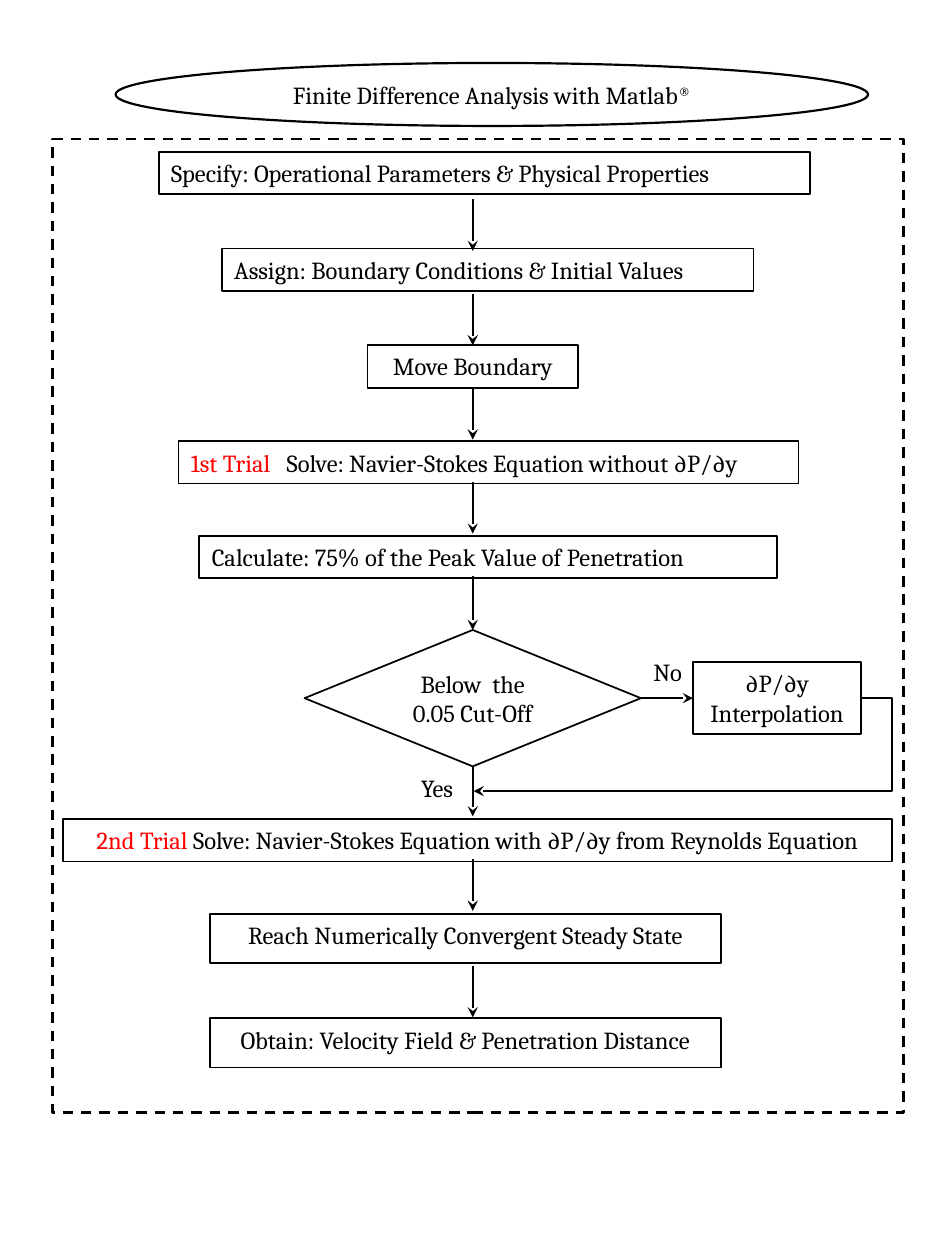
from dataclasses import dataclass

from lxml import etree
from pptx import Presentation
from pptx import util as u
from pptx.dml import color
from pptx.enum import dml, shapes, text
from pptx.oxml import ns


@dataclass(frozen=True)
class Theme:
    ink: color.RGBColor = color.RGBColor(0, 0, 0)
    accent: color.RGBColor = color.RGBColor(255, 0, 0)
    font: str = "Cambria"
    size: u.Pt = u.Pt(14)
    line: u.Pt = u.Pt(1)
    oval_line: u.Pt = u.Pt(1.25)
    frame_line: u.Pt = u.Pt(1.5)


class FlowChart:
    def __init__(self, slide, theme):
        self.slide = slide
        self.theme = theme

    def fill_text(self, holder, parts, align, anchor, grow):
        frame = holder.text_frame
        frame.word_wrap = True
        frame.vertical_anchor = anchor
        if grow:
            frame.auto_size = text.MSO_AUTO_SIZE.SHAPE_TO_FIT_TEXT
        paragraph = frame.paragraphs[0]
        paragraph.alignment = align
        for words, tint in parts:
            run = paragraph.add_run()
            run.text = words
            run.font.name = self.theme.font
            run.font.size = self.theme.size
            run.font.color.rgb = tint

    def node(self, kind, box, parts=(), align=text.PP_ALIGN.CENTER,
             anchor=text.MSO_ANCHOR.TOP, grow=True, width=None):
        node = self.slide.shapes.add_shape(kind, *map(u.Cm, box))
        node.shadow.inherit = False
        node.fill.background()
        node.line.color.rgb = self.theme.ink
        node.line.width = width or self.theme.line
        if parts:
            self.fill_text(node, parts, align, anchor, grow)
        return node

    def step(self, box, *parts, **layout):
        return self.node(shapes.MSO_SHAPE.RECTANGLE, box, parts, **layout)

    def label(self, box, words):
        holder = self.slide.shapes.add_textbox(*map(u.Cm, box))
        self.fill_text(holder, [(words, self.theme.ink)], text.PP_ALIGN.CENTER,
                       text.MSO_ANCHOR.TOP, True)

    def arrow(self, start, end, source=None, target=None,
              kind=shapes.MSO_CONNECTOR.STRAIGHT):
        arrow = self.slide.shapes.add_connector(kind, *map(u.Cm, start + end))
        if source:
            arrow.begin_connect(*source)
        if target:
            arrow.end_connect(*target)
        arrow.line.color.rgb = self.theme.ink
        arrow.line.width = self.theme.line
        properties = arrow._element.spPr
        outline = properties.find(ns.qn("a:ln"))
        etree.SubElement(outline, ns.qn("a:tailEnd"), type="stealth")
        etree.SubElement(properties, ns.qn("a:effectLst"))
        return arrow

    def elbow(self, start, end, bend):
        elbow = self.arrow(start, end, kind=shapes.MSO_CONNECTOR.ELBOW)
        geometry = elbow._element.spPr.find(ns.qn("a:prstGeom"))
        guides = geometry.find(ns.qn("a:avLst"))
        if guides is None:
            guides = etree.SubElement(geometry, ns.qn("a:avLst"))
        etree.SubElement(guides, ns.qn("a:gd"), name="adj1",
                         fmla=f"val {round(bend * 100000)}")


def main():
    deck = Presentation()
    deck.slide_width, deck.slide_height = u.Cm(19.05), u.Cm(25.4)
    theme = Theme()
    chart = FlowChart(deck.slides.add_slide(deck.slide_layouts[6]), theme)
    ink, accent = theme.ink, theme.accent
    justify, middle = text.PP_ALIGN.JUSTIFY, text.MSO_ANCHOR.MIDDLE

    frame = chart.step((1.06, 2.8, 17.15, 19.63), width=theme.frame_line)
    frame.line.dash_style = dml.MSO_LINE.DASH

    title = chart.node(
        shapes.MSO_SHAPE.OVAL, (2.33, 1.27, 15.17, 1.27),
        [("Finite Difference Analysis with Matlab", ink), ("®", ink)],
        anchor=middle, grow=False, width=theme.oval_line)
    registered = title.text_frame.paragraphs[0].runs[-1]
    registered.font._element.set("baseline", "30000")

    chart.step((3.2, 3.06, 13.13, 0.86),
               ("Specify: Operational Parameters & Physical Properties", ink),
               align=justify)
    chart.step((4.47, 5.01, 10.72, 0.86),
               ("Assign: Boundary Conditions & Initial Values", ink),
               align=justify)
    move = chart.step((7.41, 6.96, 4.24, 0.86), ("Move Boundary", ink))
    chart.step((3.6, 8.89, 12.5, 0.86), ("1st Trial", accent),
               ("   Solve: Navier-Stokes Equation without ∂P/∂y", ink),
               align=justify, anchor=middle)
    chart.step((4.02, 10.8, 11.64, 0.86),
               ("Calculate: 75% of the Peak Value of Penetration", ink),
               align=justify)
    cutoff = chart.node(shapes.MSO_SHAPE.DIAMOND, (6.14, 12.7, 6.78, 2.75),
                        [("Below  the 0.05 Cut-Off", ink)],
                        anchor=middle, grow=False)
    interpolation = chart.step((13.97, 13.35, 3.39, 1.45),
                               ("∂P/∂y Interpolation", ink))
    chart.step((1.27, 16.51, 16.72, 0.86), ("2nd Trial ", accent),
               ("Solve: Navier-Stokes Equation with ∂P/∂y from Reynolds Equation", ink))
    for top, words in ((18.42, "Reach Numerically Convergent Steady State"),
                       (20.53, "Obtain: Velocity Field & Penetration Distance")):
        chart.step((4.24, top, 10.29, 0.99), (words, ink))

    chart.label((12.7, 13.13, 1.52, 0.99), "No")
    chart.label((8.05, 15.45, 1.52, 0.99), "Yes")

    axis, first, pitch, length = 9.53, 4.02, 1.9, 1.04
    joins = {1: {"target": (move, 0)}, 2: {"source": (move, 2)},
             4: {"target": (cutoff, 0)}, 6: {"source": (cutoff, 2)}}
    for row in (0, 1, 2, 3, 4, 6, 7):
        top = first + row * pitch
        chart.arrow((axis, top), (axis, top + length), **joins.get(row, {}))
    chart.arrow((axis, 19.47), (axis, 20.51))
    chart.arrow((12.92, 14.07), (13.97, 14.07),
                source=(cutoff, 3), target=(interpolation, 1))
    chart.elbow((17.36, 14.07), (9.55, 15.95), bend=-0.08)

    deck.save("out.pptx")


if __name__ == "__main__":
    main()
